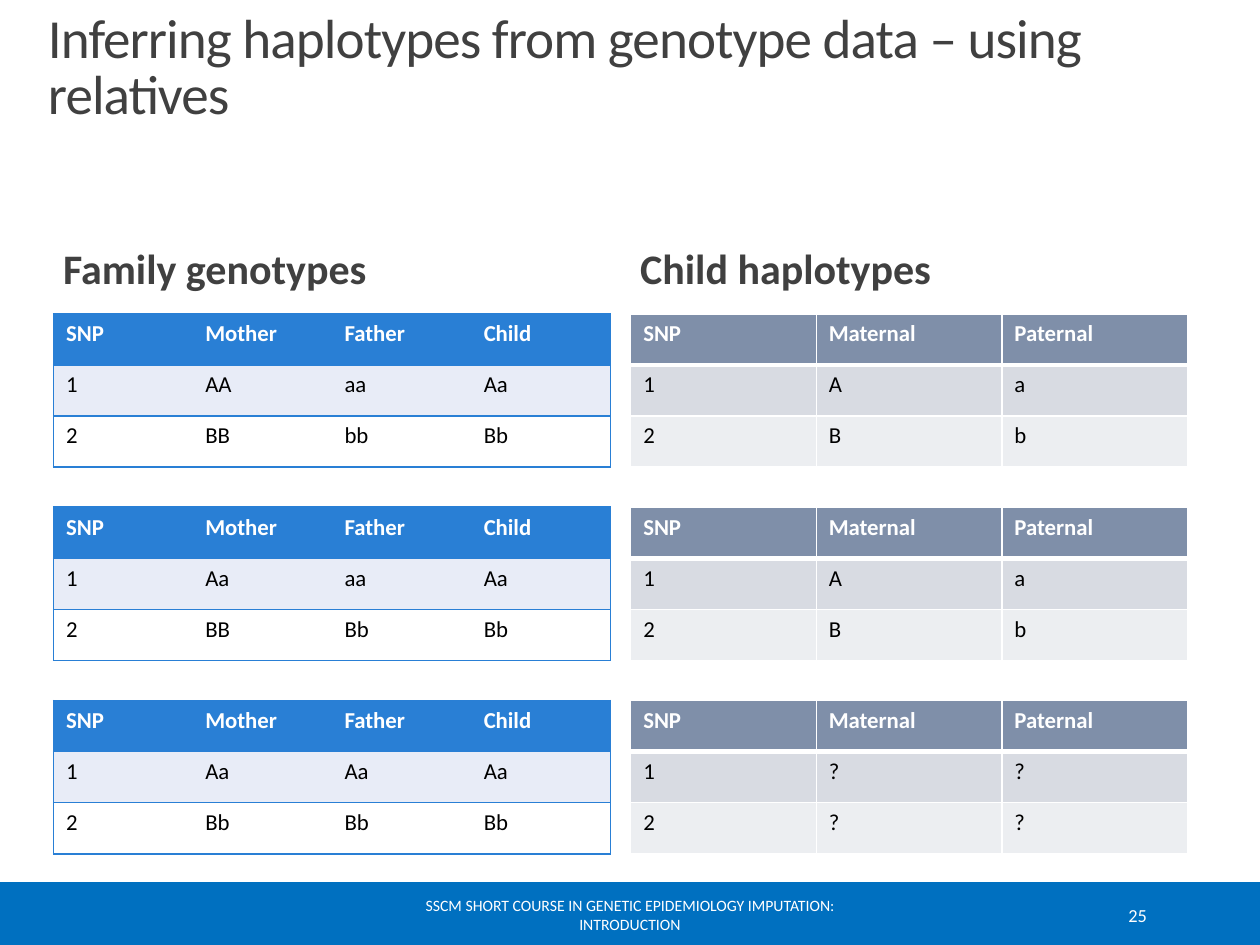
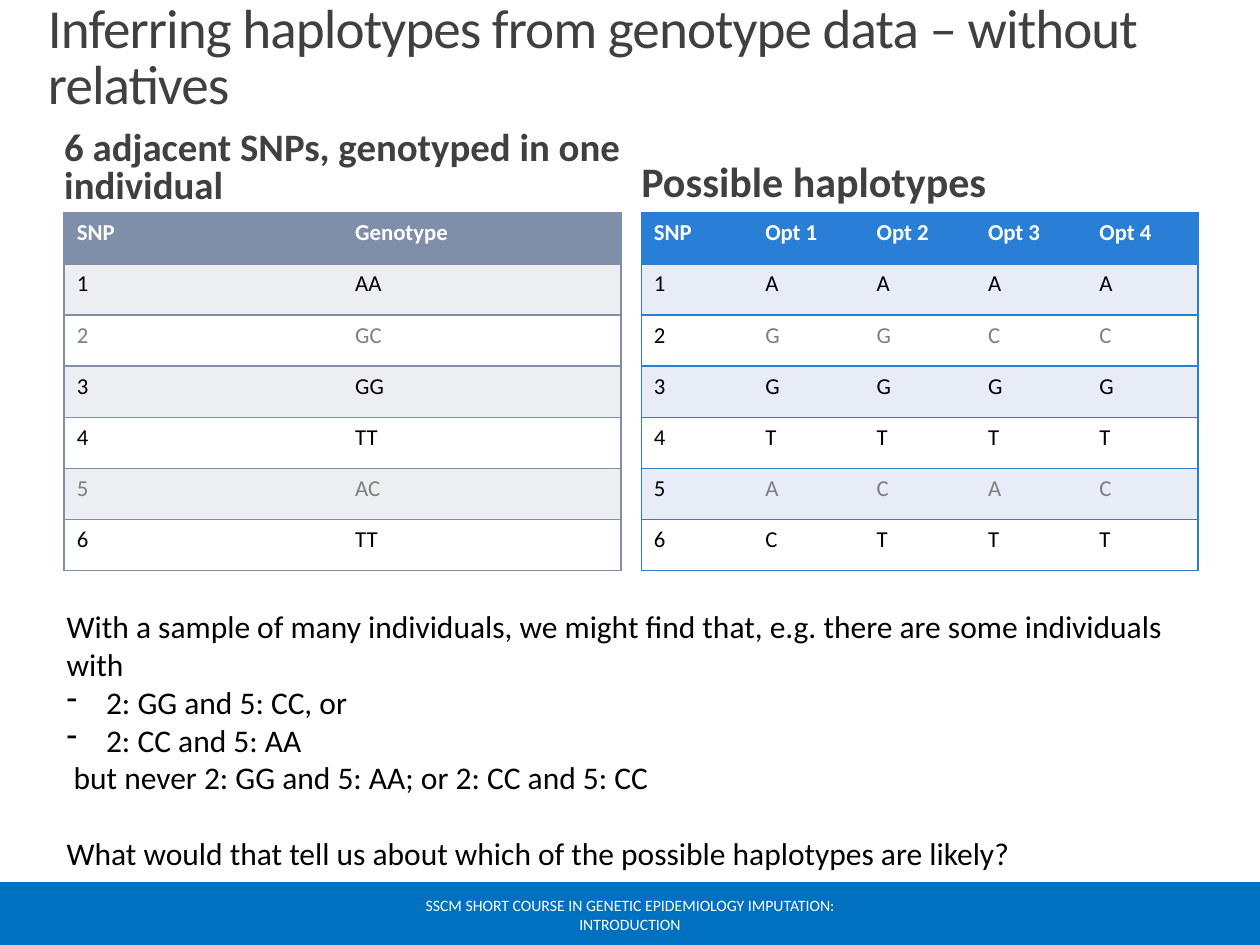
from dataclasses import dataclass

from lxml.etree import SubElement
from pptx import Presentation
from pptx.dml.color import RGBColor
from pptx.enum.shapes import MSO_SHAPE
from pptx.enum.text import MSO_ANCHOR, MSO_AUTO_SIZE, PP_ALIGN
from pptx.oxml.ns import qn
from pptx.util import Pt


@dataclass(frozen=True)
class TableLook:
    header: str
    odd: str
    even: str
    border: str
    inner_verticals: bool = False
    header_rule: float = 1


class Theme:
    font = "Calibri"
    white = "FFFFFF"
    black = "000000"
    heading_color = "404040"
    muted = "7F7F7F"
    band = "0070C0"
    title_size = 31.5
    heading_size = 24
    long_heading_size = 22.2
    text_size = 18
    cell_size = 13
    footer_size = 9
    number_size = 10.5
    blue = TableLook("297FD5", "E8ECF7", "FFFFFF", "297FD5")
    grey_grid = TableLook("7F8FA9", "D8DBE2", "ECEEF1", "FFFFFF", True, 3)
    grey_lined = TableLook("7F8FA9", "ECEEF1", "FFFFFF", "7F8FA9")


COMPARISON_LAYOUT = 4
NO_TABLE_STYLE = "{2D5ABB26-0587-4C30-8999-92F81FD0307C}"
COLUMN_WIDTH = 318.2
ROW_HEIGHT = 29.2
FOOTER = "SSCM SHORT COURSE IN GENETIC EPIDEMIOLOGY IMPUTATION: INTRODUCTION"


def set_values(target, values):
    for name, value in values.items():
        setattr(target, name, value)


def place(sp, left, top, width, height):
    set_values(sp, {"left": Pt(left), "top": Pt(top),
                    "width": Pt(width), "height": Pt(height)})


def write(p, text, size, color, bold=False, **paragraph_format):
    set_values(p, paragraph_format)
    r = p.add_run()
    r.text = text
    set_values(r.font, {"name": Theme.font, "size": Pt(size), "bold": bold})
    r.font.color.rgb = RGBColor.from_string(color)
    return r


def set_indent(p, left, first=0, bullet=None):
    pPr = p._p.get_or_add_pPr()
    pPr.set("marL", str(Pt(left)))
    pPr.set("indent", str(Pt(first)))
    if bullet:
        SubElement(pPr, qn("a:buChar")).set("char", bullet)


def set_frame(tf, anchor):
    set_values(tf, {"word_wrap": True, "auto_size": MSO_AUTO_SIZE.NONE,
                    "vertical_anchor": anchor})


def add_title(slide, text, top):
    sp = slide.shapes.title
    place(sp, 20.2, top, 680.4, 60.5)
    tf = sp.text_frame
    set_frame(tf, MSO_ANCHOR.BOTTOM)
    r = write(tf.paragraphs[0], text, Theme.title_size, Theme.heading_color,
              alignment=PP_ALIGN.LEFT, line_spacing=0.85)
    r.font._element.set("spc", "-50")


def add_heading(sp, text, left, top, size=Theme.heading_size, spacing=0.9):
    place(sp, left, top, COLUMN_WIDTH, 50.4)
    tf = sp.text_frame
    set_frame(tf, MSO_ANCHOR.BOTTOM)
    set_values(tf, {"margin_left": 0, "margin_right": 0})
    write(tf.paragraphs[0], text, size, Theme.heading_color, True,
          line_spacing=spacing, space_before=Pt(0), space_after=Pt(2))


def add_text_box(slide, left, top, width, height, anchor=MSO_ANCHOR.TOP):
    sp = slide.shapes.add_textbox(Pt(left), Pt(top), Pt(width), Pt(height))
    set_frame(sp.text_frame, anchor)
    return sp.text_frame


def add_bar(slide, top, height, color):
    sp = slide.shapes.add_shape(MSO_SHAPE.RECTANGLE, 0, Pt(top), Pt(720), Pt(height))
    sp.shadow.inherit = False
    sp.fill.solid()
    sp.fill.fore_color.rgb = RGBColor.from_string(color)
    sp.line.fill.background()


def add_footer(slide, number=None):
    add_bar(slide, 504, 36, Theme.band)
    add_bar(slide, 499, 5, Theme.white)
    tf = add_text_box(slide, 217.4, 508.3, 285.1, 28.8, MSO_ANCHOR.MIDDLE)
    write(tf.paragraphs[0], FOOTER, Theme.footer_size, Theme.white,
          alignment=PP_ALIGN.CENTER)
    if number:
        tf = add_text_box(slide, 584.6, 508.3, 77.8, 28.8, MSO_ANCHOR.MIDDLE)
        write(tf.paragraphs[0], number, Theme.number_size, Theme.white,
              alignment=PP_ALIGN.RIGHT)


def set_borders(cell, look, row, col, last_col):
    """Draw the cell's borders; call before filling, as lines precede the fill."""
    widths = {
        "L": 1 if col == 0 or look.inner_verticals else 0,
        "R": 1 if col == last_col or look.inner_verticals else 0,
        "T": look.header_rule if row == 1 else 1,
        "B": look.header_rule if row == 0 else 1,
    }
    tcPr = cell._tc.get_or_add_tcPr()
    for side, width in widths.items():
        ln = SubElement(tcPr, qn(f"a:ln{side}"), w=str(Pt(width)))
        if width:
            fill = SubElement(ln, qn("a:solidFill"))
            SubElement(fill, qn("a:srgbClr"), val=look.border)
        else:
            SubElement(ln, qn("a:noFill"))


def add_snp_table(slide, left, top, rows, look, muted_rows=(), muted_from=0):
    """Add a table; muted_rows are greyed from column muted_from on."""
    n_cols = len(rows[0])
    frame = slide.shapes.add_table(len(rows), n_cols, Pt(left), Pt(top),
                                   Pt(COLUMN_WIDTH), Pt(ROW_HEIGHT * len(rows)))
    table = frame.table
    table.horz_banding = False
    table._tbl.tblPr.find(qn("a:tableStyleId")).text = NO_TABLE_STYLE
    for column in table.columns:
        column.width = Pt(COLUMN_WIDTH / n_cols)
    for i, values in enumerate(rows):
        table.rows[i].height = Pt(ROW_HEIGHT)
        for j, value in enumerate(values):
            cell = table.cell(i, j)
            set_borders(cell, look, i, j, n_cols - 1)
            fill = look.header if i == 0 else (look.even, look.odd)[i % 2]
            cell.fill.solid()
            cell.fill.fore_color.rgb = RGBColor.from_string(fill)
            is_muted = i in muted_rows and j >= muted_from
            color = Theme.muted if is_muted else Theme.black
            write(cell.text_frame.paragraphs[0], value, Theme.cell_size,
                  Theme.white if i == 0 else color, bold=i == 0)


def new_slide(prs, title, title_top, number=None):
    """Return a slide with its title and footer, and its two heading placeholders."""
    slide = prs.slides.add_slide(prs.slide_layouts[COMPARISON_LAYOUT])
    add_footer(slide, number)
    add_title(slide, title, title_top)
    by_idx = {sp.placeholder_format.idx: sp for sp in slide.placeholders}
    for idx in (2, 4):
        sp = by_idx[idx]._element
        sp.getparent().remove(sp)
    return slide, by_idx[1], by_idx[3]


def build_with_relatives(prs):
    slide, left_head, right_head = new_slide(
        prs, "Inferring haplotypes from genotype data – using relatives", 15.1, "25")
    add_heading(left_head, "Family genotypes", 36, 121)
    add_heading(right_head, "Child haplotypes", 365.8, 121)

    # Each family: mother, father, child, maternal and paternal haplotypes
    families = [
        (("AA", "aa", "Aa", "A", "a"), ("BB", "bb", "Bb", "B", "b")),
        (("Aa", "aa", "Aa", "A", "a"), ("BB", "Bb", "Bb", "B", "b")),
        (("Aa", "Aa", "Aa", "?", "?"), ("Bb", "Bb", "Bb", "?", "?")),
    ]
    for i, snps in enumerate(families):
        top = 179.3 + 110.5 * i
        genotypes = [("SNP", "Mother", "Father", "Child")]
        haplotypes = [("SNP", "Maternal", "Paternal")]
        for n, values in enumerate(snps, 1):
            genotypes.append((str(n), *values[:3]))
            haplotypes.append((str(n), *values[3:]))
        add_snp_table(slide, 30.6, top, genotypes, Theme.blue)
        add_snp_table(slide, 360.4, top, haplotypes, Theme.grey_grid)


def build_without_relatives(prs):
    slide, left_head, right_head = new_slide(
        prs, "Inferring haplotypes from genotype data – without relatives", 9.4)
    add_heading(left_head, "6 adjacent SNPs, genotyped in one individual",
                36.7, 71.3, Theme.long_heading_size, 0.8)
    add_heading(right_head, "Possible haplotypes", 366.5, 71.3)

    genotypes = ["AA", "GC", "GG", "TT", "AC", "TT"]
    options = ["AAAA", "GGCC", "GGGG", "TTTT", "ACAC", "CTTT"]
    genotype_rows = [("SNP", "Genotype")]
    option_rows = [("SNP", "Opt 1", "Opt 2", "Opt 3", "Opt 4")]
    for n, (genotype, alleles) in enumerate(zip(genotypes, options), 1):
        genotype_rows.append((str(n), genotype))
        option_rows.append((str(n), *alleles))
    ambiguous = (2, 5)
    add_snp_table(slide, 36.7, 121.7, genotype_rows, Theme.grey_lined, ambiguous)
    add_snp_table(slide, 366.5, 121.7, option_rows, Theme.blue, ambiguous, 1)

    # Text, left indent, first-line indent, bullet, space before
    lines = [
        ("With a sample of many individuals, we might find that, e.g. there are "
         "some individuals with", 0, 0, None, 0),
        ("2: GG and 5: CC, or", 22.5, -22.5, "-", 0),
        ("2: CC and 5: AA", 22.5, -22.5, "-", 0),
        ("but never 2: GG and 5: AA; or 2: CC and 5: CC", 4, 0, None, 0),
        ("What would that tell us about which of the possible haplotypes are likely?",
         0, 0, None, 21.6),
    ]
    tf = add_text_box(slide, 31, 343.4, 646.6, 159.8)
    for i, (text, left, first, bullet, before) in enumerate(lines):
        p = tf.add_paragraph() if i else tf.paragraphs[0]
        set_indent(p, left, first, bullet)
        write(p, text, Theme.text_size, Theme.black, space_before=Pt(before))


def main():
    prs = Presentation()
    set_values(prs, {"slide_width": Pt(720), "slide_height": Pt(540)})
    build_with_relatives(prs)
    build_without_relatives(prs)
    prs.save("out.pptx")


if __name__ == "__main__":
    main()
